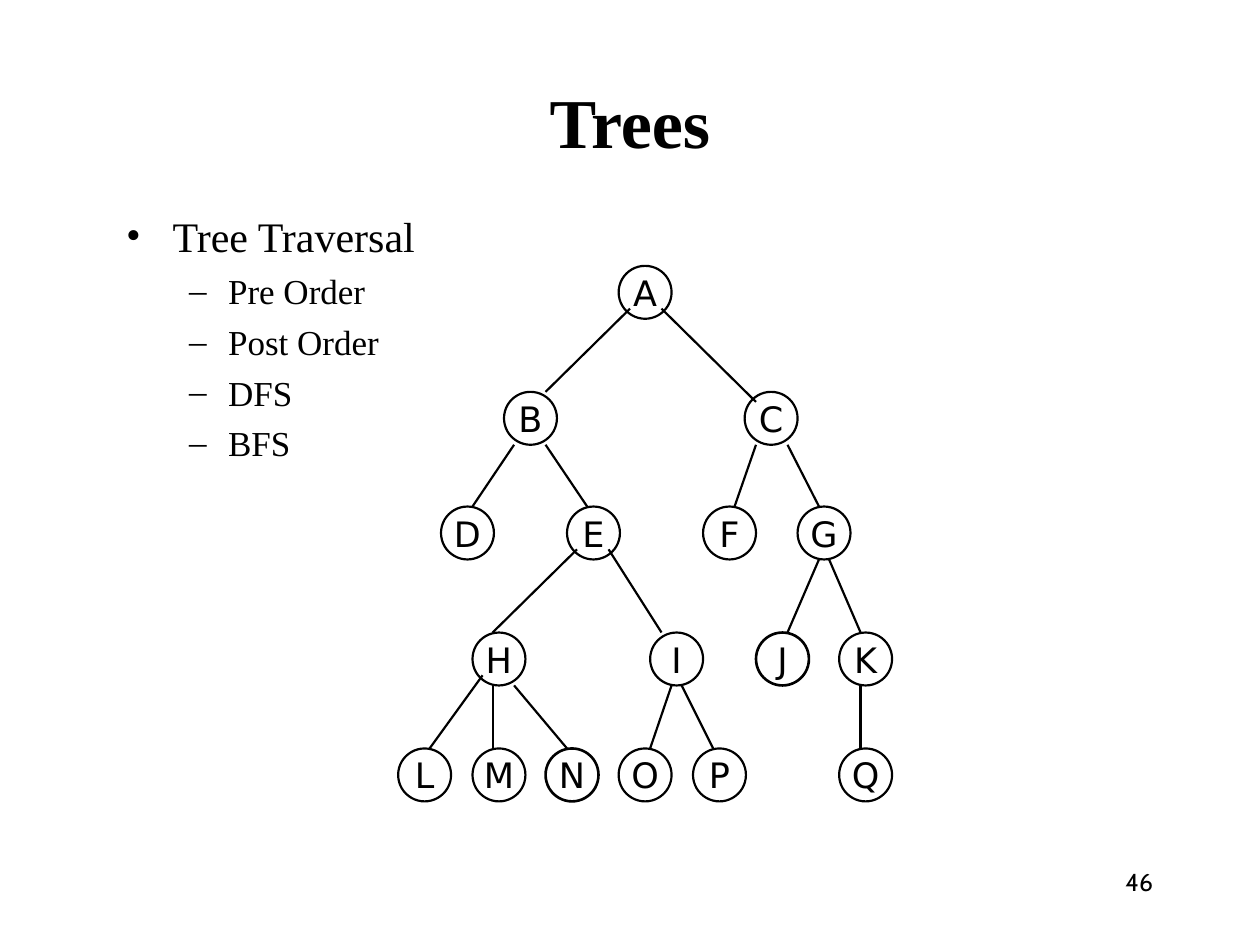
from lxml import etree
from pptx import Presentation
from pptx.dml.color import RGBColor
from pptx.enum.shapes import MSO_CONNECTOR, MSO_SHAPE
from pptx.enum.text import MSO_ANCHOR, MSO_AUTO_SIZE, PP_ALIGN
from pptx.oxml.ns import qn
from pptx.util import Inches, Pt

ELLIPSE, STRAIGHT = MSO_SHAPE.OVAL, MSO_CONNECTOR.STRAIGHT
CENTER, RIGHT, LEFT = PP_ALIGN.CENTER, PP_ALIGN.RIGHT, PP_ALIGN.LEFT
MIDDLE, TOP = MSO_ANCHOR.MIDDLE, MSO_ANCHOR.TOP
NO_FIT = MSO_AUTO_SIZE.NONE


class Theme:
    ink = RGBColor(0, 0, 0)
    serif, node_font, number_font = "Times New Roman", "DejaVu Sans", "Cabin"
    title, topic, item, node, number = Pt(40), Pt(24), Pt(20), Pt(20), Pt(14)
    line, bold_line = Pt(1.25), Pt(1.5)


def style(paragraph, font_name, size, align, bold=False):
    paragraph.alignment = align
    for run in paragraph.runs:
        run.font.name, run.font.size, run.font.bold = font_name, size, bold
        run.font.color.rgb = Theme.ink


def set_bullet(paragraph, char, indent, hanging):
    props = paragraph._p.get_or_add_pPr()
    props.set("marL", str(Inches(indent)))
    props.set("indent", str(-Inches(hanging)))
    color = etree.SubElement(props, qn("a:buClr"))
    etree.SubElement(color, qn("a:srgbClr"), val=str(Theme.ink))
    etree.SubElement(props, qn("a:buFont"), typeface=Theme.serif)
    etree.SubElement(props, qn("a:buChar"), char=char)


prs = Presentation()
prs.slide_width, prs.slide_height = Inches(10), Inches(7.5)
slide = prs.slides.add_slide(prs.slide_layouts[1])

# Title
title = slide.shapes.title
title.left, title.top = Inches(0.75), Inches(0.67)
title.width, title.height = Inches(8.5), Inches(0.58)
title.text_frame.text = "Trees"
title.text_frame.auto_size = NO_FIT
title.text_frame.vertical_anchor = MIDDLE
style(title.text_frame.paragraphs[0], Theme.serif, Theme.title, CENTER, bold=True)

# Traversal list
traversals = slide.placeholders[1]
traversals.left, traversals.top = Inches(0.83), Inches(1.58)
traversals.width, traversals.height = Inches(8.5), Inches(5.42)
list_frame = traversals.text_frame
list_frame.text = "Tree Traversal\nPre Order\nPost Order\nDFS\nBFS"
list_frame.auto_size = NO_FIT
list_frame.vertical_anchor = TOP
list_frame.margin_top = Inches(0.09)
topic, *orders = list_frame.paragraphs
topic.space_before = Pt(0)
set_bullet(topic, "•", 0.44, 0.37)
style(topic, Theme.serif, Theme.topic, LEFT)
for order in orders:
    order.level = 1
    order.space_before = Pt(5)
    set_bullet(order, "–", 0.88, 0.31)
    style(order, Theme.serif, Theme.item, LEFT)

# Page number
page_number = slide.shapes.add_textbox(Inches(7.17), Inches(6.83), Inches(2.08), Inches(0.5))
page_number.text_frame.word_wrap = True
page_number.text_frame.text = "46"
style(page_number.text_frame.paragraphs[0], Theme.number_font, Theme.number, RIGHT)

# Tree nodes: each level's top, then the left of every node on it
DIAMETER = 0.42
OVERLAP = 0.08  # how far some edges reach into a circle
levels = [
    (2.11, {"A": 4.91}),
    (3.11, {"B": 4, "C": 5.91}),
    (4.02, {"D": 3.5, "E": 4.5, "F": 5.58, "G": 6.33}),
    (5.02, {"H": 3.75, "I": 5.16, "J": 6, "K": 6.66}),
    (5.94, {"L": 3.16, "M": 3.75, "N": 4.33, "O": 4.91, "P": 5.5, "Q": 6.66}),
]
node_top = {}
for top, nodes in levels:
    for label, left in nodes.items():
        node_top[label] = top
        node = slide.shapes.add_shape(
            ELLIPSE, Inches(left), Inches(top), Inches(DIAMETER), Inches(DIAMETER))
        node.shadow.inherit = False
        node.fill.background()
        node.line.color.rgb = Theme.ink
        node.line.width = Theme.bold_line if label in "JN" else Theme.line
        node.text_frame.word_wrap = False
        node.text_frame.vertical_anchor = MIDDLE
        node.text_frame.text = label
        style(node.text_frame.paragraphs[0], Theme.node_font, Theme.node, CENTER)

# Tree edges: parent and child, with the x where the edge leaves and arrives
edges = [
    ("AB", 5, 4.33), ("AC", 5.25, 6),
    ("BD", 4.08, 3.75), ("BE", 4.33, 4.66), ("CF", 6, 5.83), ("CG", 6.25, 6.5),
    ("EH", 4.58, 3.91), ("EI", 4.83, 5.25), ("GJ", 6.5, 6.25), ("GK", 6.58, 6.83),
    ("HL", 3.83, 3.41), ("HM", 3.91, 3.91), ("HN", 4.08, 4.5),
    ("IO", 5.33, 5.16), ("IP", 5.41, 5.66), ("KQ", 6.83, 6.83),
]
starts_inside = {"AB", "AC", "EH", "EI", "HL"}
ends_inside = {"AC"}
for pair, start_x, end_x in edges:
    parent, child = pair
    start_y = node_top[parent] + DIAMETER - OVERLAP * (pair in starts_inside)
    end_y = node_top[child] + OVERLAP * (pair in ends_inside)
    edge = slide.shapes.add_connector(
        STRAIGHT, Inches(start_x), Inches(start_y), Inches(end_x), Inches(end_y))
    edge.line.color.rgb = Theme.ink
    edge.line.width = Theme.line
    etree.SubElement(edge._element.spPr, qn("a:effectLst"))

prs.save("out.pptx")
